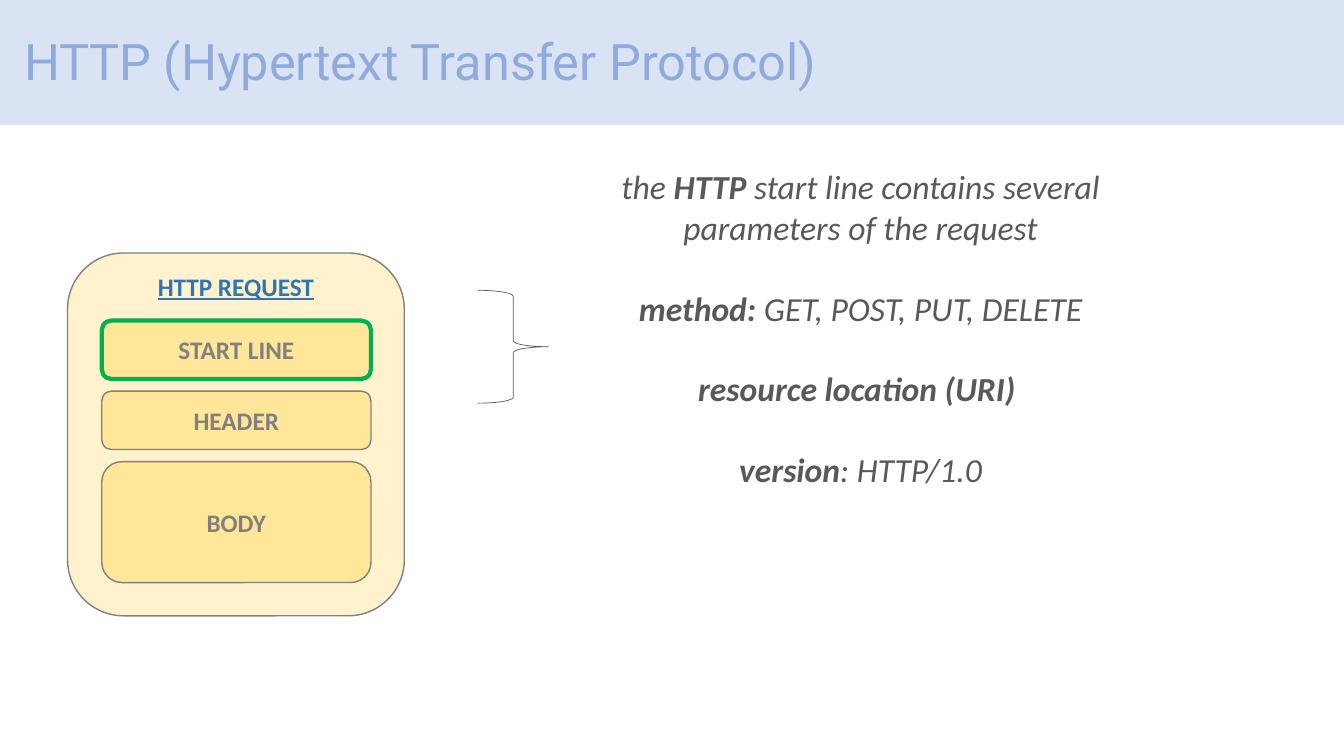
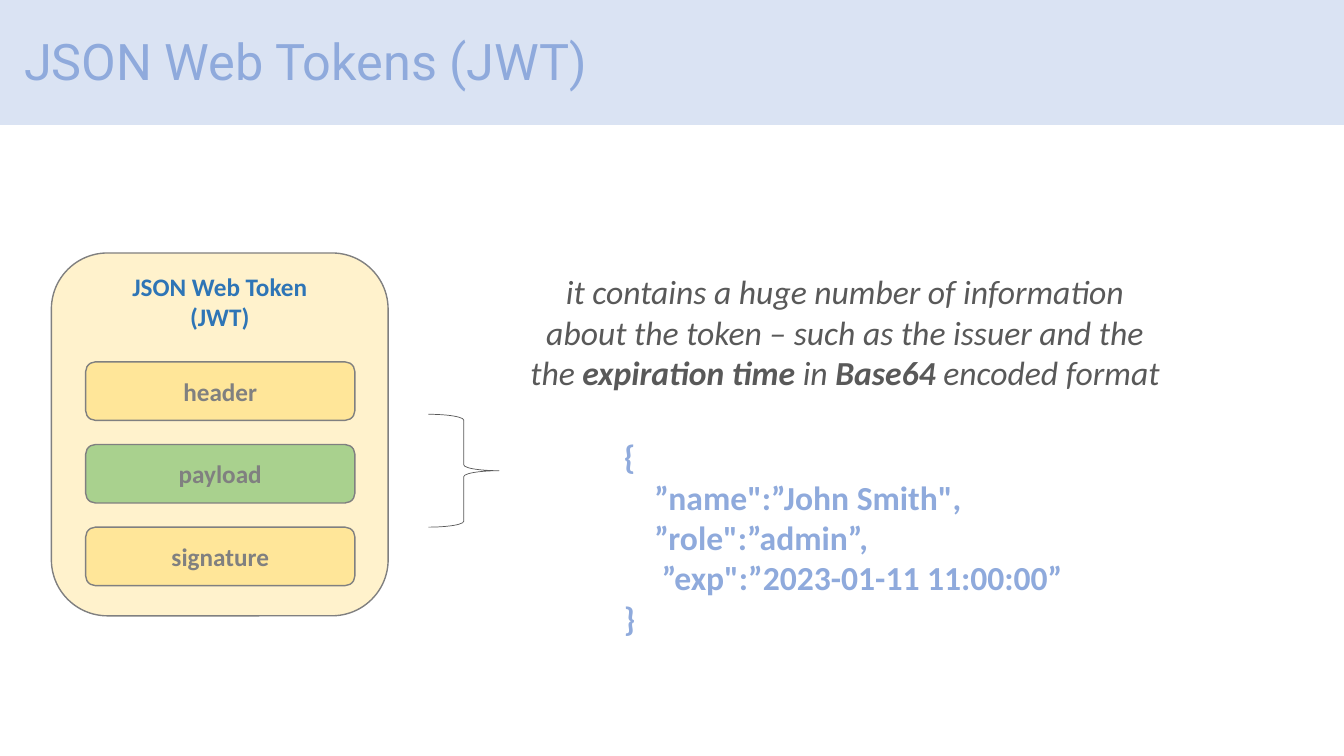
from lxml import etree
from pptx import Presentation
from pptx.dml.color import RGBColor
from pptx.enum.shapes import MSO_SHAPE
from pptx.enum.text import MSO_ANCHOR, PP_ALIGN
from pptx.util import Emu, Pt

RECT = MSO_SHAPE.RECTANGLE
ROUNDED = MSO_SHAPE.ROUNDED_RECTANGLE
BRACE = MSO_SHAPE.RIGHT_BRACE
LEFT, CENTER = PP_ALIGN.LEFT, PP_ALIGN.CENTER
TOP, MIDDLE = MSO_ANCHOR.TOP, MSO_ANCHOR.MIDDLE

WHITE = RGBColor(0xFF, 0xFF, 0xFF)
BAND_BLUE = RGBColor(0xDA, 0xE3, 0xF3)
SOFT_BLUE = RGBColor(0x8F, 0xAA, 0xDC)
LABEL_BLUE = RGBColor(0x2E, 0x75, 0xB6)
CREAM = RGBColor(0xFF, 0xF2, 0xCC)
YELLOW = RGBColor(0xFF, 0xE6, 0x99)
LIGHT_GREEN = RGBColor(0xA9, 0xD1, 0x8E)
GREEN = RGBColor(0x00, 0xB0, 0x50)
GRAY = RGBColor(0x80, 0x80, 0x80)
DARK_GRAY = RGBColor(0x59, 0x59, 0x59)

PX = 9144  # EMU in one px, 100 px to the inch
SLIDE_W, SLIDE_H = 1333, 750
CARD_TOP, CARD_W, CARD_H = 251, 334, 360
PART_INSET, PART_W, PART_H = 34, 267, 58
BRACE_W, BRACE_H = 70, 112
BLANK_LINE = 29  # points

# A line is a list of (text, bold) runs.
SLIDES = [
    {
        "title": "HTTP (Hypertext Transfer Protocol)",
        "card_left": 67,
        "heading": ["HTTP REQUEST"],
        "heading_underlined": True,
        "parts_top": 318,
        "parts_gap": 12,
        # name, height, fill, line colour, line width
        "parts": [
            ("START LINE", PART_H, YELLOW, GREEN, 3),
            ("HEADER", PART_H, YELLOW, GRAY, 1),
            ("BODY", 120, YELLOW, GRAY, 1),
        ],
        "brace": (474, 288),
        "note_box": (604, 160, 499, 374),
        # each group of lines stands one blank line below the one before
        "note": [
            [
                [("the ", False), ("HTTP", True),
                 (" start line contains several", False)],
                [("parameters of the request", False)],
            ],
            [[("method:", True), (" GET, POST, PUT, DELETE", False)]],
            [[("resource location (URI) ", True)]],
            [[("version", True), (": HTTP/1.0", False)]],
        ],
    },
    {
        "title": "JSON Web Tokens (JWT)",
        "card_left": 51,
        "heading": ["JSON Web Token", "(JWT)"],
        "heading_underlined": False,
        "parts_top": 359,
        "parts_gap": 24,
        "parts": [
            ("header", PART_H, YELLOW, GRAY, 1),
            ("payload", PART_H, LIGHT_GREEN, GRAY, 1),
            ("signature", PART_H, YELLOW, GRAY, 1),
        ],
        "brace": (425, 411),
        "note_box": (512, 264, 652, 172),
        "note": [
            [
                [("it contains a huge number of information", False)],
                [("about the token – such as the issuer and the", False)],
                [("the ", False), ("expiration time ", True), ("in", False),
                 (" Base64", True), (" encoded format", False)],
            ],
        ],
        "code_box": (609, 428, 459, 252),
        "code": [
            "{",
            "    ”name\":”John Smith\",",
            "    ”role\":”admin”,",
            "     ”exp\":”2023-01-11 11:00:00”",
            "}",
        ],
    },
]


def px(*lengths):
    return [Emu(length * PX) for length in lengths]


def add_outlined(slide, kind, box, fill, line, width):
    """Add a preset shape; a fill of None leaves it open."""
    shape = slide.shapes.add_shape(kind, *px(*box))
    shape.shadow.inherit = False
    if fill is None:
        shape.fill.background()
    else:
        shape.fill.solid()
        shape.fill.fore_color.rgb = fill
    shape.line.color.rgb = line
    shape.line.width = Pt(width)
    return shape


def write(shape, groups, size, color, align=CENTER, anchor=TOP, wrap=True,
          font="Calibri", italic=False, underline=False, line_spacing=None):
    """Fill a shape with groups of lines, a blank line's space between groups."""
    frame = shape.text_frame
    frame.word_wrap = wrap
    frame.vertical_anchor = anchor
    paragraph = None
    for group in groups:
        for position, line in enumerate(group):
            if paragraph is None:
                paragraph = frame.paragraphs[0]
            else:
                paragraph = frame.add_paragraph()
                if position == 0:
                    paragraph.space_before = Pt(BLANK_LINE)
            paragraph.alignment = align
            paragraph.line_spacing = line_spacing
            for text, bold in line:
                run = paragraph.add_run()
                run.text = text
                run.font.name = font
                run.font.size = Pt(size)
                run.font.bold = bold
                run.font.italic = italic
                run.font.underline = underline
                run.font.color.rgb = color


def add_text(slide, box, groups, size, color, **style):
    write(slide.shapes.add_textbox(*px(*box)), groups, size, color, **style)


def bold_lines(lines):
    return [[[(line, True)] for line in lines]]


def add_title(slide, title):
    add_outlined(slide, RECT, (-14, -4, 1357, 129), BAND_BLUE, WHITE, 1)
    add_text(slide, (14, -9, 1150, 145), [[[(title, False)]]], 36, SOFT_BLUE,
             align=LEFT, anchor=MIDDLE, font="Roboto", line_spacing=0.9)


def add_card(slide, content):
    """Draw the message card with its heading and its stacked parts."""
    left = content["card_left"]
    add_outlined(slide, ROUNDED, (left, CARD_TOP, CARD_W, CARD_H),
                 CREAM, GRAY, 1)
    add_text(slide, (left, 264, CARD_W, 71), bold_lines(content["heading"]),
             18, LABEL_BLUE, underline=content["heading_underlined"])
    top = content["parts_top"]
    for name, height, fill, line, width in content["parts"]:
        part = add_outlined(slide, ROUNDED,
                            (left + PART_INSET, top, PART_W, height),
                            fill, line, width)
        write(part, bold_lines([name]), 18, GRAY, anchor=MIDDLE)
        top += height + content["parts_gap"]


def main():
    deck = Presentation()
    deck.slide_width, deck.slide_height = px(SLIDE_W, SLIDE_H)
    blank = deck.slide_layouts[6]
    for content in SLIDES:
        slide = deck.slides.add_slide(blank)
        add_title(slide, content["title"])
        add_card(slide, content)
        add_outlined(slide, BRACE, (*content["brace"], BRACE_W, BRACE_H),
                     None, DARK_GRAY, 0.5)
        add_text(slide, content["note_box"], content["note"], 24, DARK_GRAY,
                 italic=True, wrap=False)
        if "code" in content:
            add_text(slide, content["code_box"], bold_lines(content["code"]),
                     24, SOFT_BLUE, align=LEFT)
    deck.save("out.pptx")


if __name__ == "__main__":
    main()
